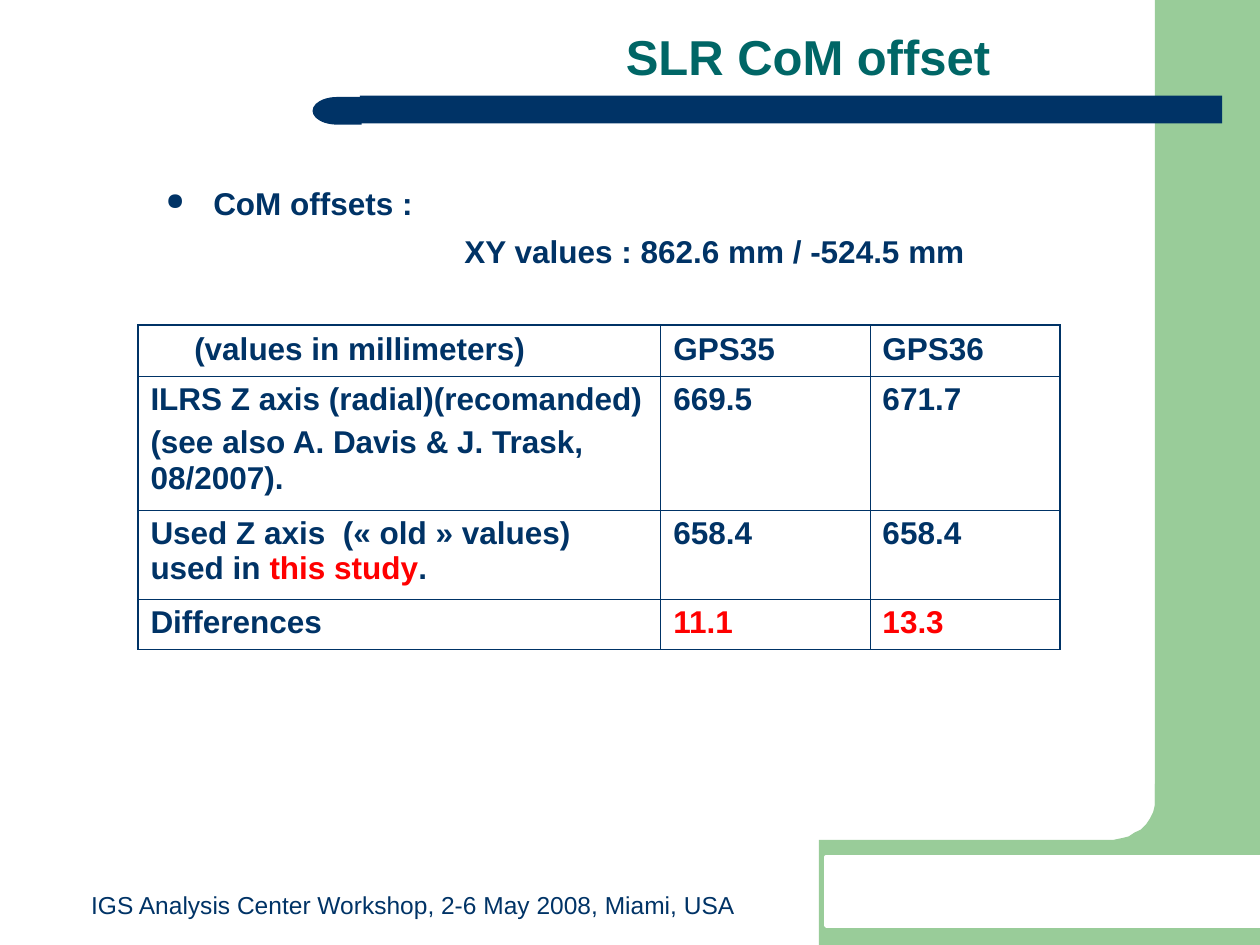
import math

import pptx
import pptx.dml.color
import pptx.enum.shapes
import pptx.enum.text
import pptx.oxml.ns
import pptx.util
from lxml import etree

Pt = pptx.util.Pt
RGBColor = pptx.dml.color.RGBColor
SHAPES = pptx.enum.shapes.MSO_SHAPE
ANCHOR = pptx.enum.text.MSO_ANCHOR
ALIGN = pptx.enum.text.PP_ALIGN

GREEN = RGBColor(0x99, 0xCC, 0x99)
NAVY = RGBColor(0x00, 0x33, 0x66)
TEAL = RGBColor(0x00, 0x66, 0x66)
RED = RGBColor(0xFF, 0x00, 0x00)
WHITE = RGBColor(0xFF, 0xFF, 0xFF)

BOLD_18 = {"name": "Arial", "size": Pt(18), "bold": True}
TITLE_FONT = {"name": "Arial", "size": Pt(28), "bold": True}
FOOTER_FONT = {"name": "Arial", "size": Pt(14), "bold": False}

OUTER_LINE, INNER_LINE = Pt(1.08), Pt(0.45)
COLUMN_WIDTHS = (298.8, 119.5, 108.7)
ROW_HEIGHTS = (29, 76.5, 51, 28.5)
# Each cell is a list of paragraphs, each paragraph a list of (text, colour).
OFFSET_ROWS = [
    [[[("(values in millimeters)", NAVY)]], [[("GPS35", NAVY)]], [[("GPS36", NAVY)]]],
    [[[("ILRS Z axis (radial)(recomanded)", NAVY)],
      [("(see also A. Davis & J. Trask, 08/2007).", NAVY)]],
     [[("669.5", NAVY)]], [[("671.7", NAVY)]]],
    [[[("Used Z axis  (« old » values) used in ", NAVY), ("this study", RED), (".", NAVY)]],
     [[("658.4", NAVY)]], [[("658.4", NAVY)]]],
    [[[("Differences", NAVY)]], [[("11.1", RED)]], [[("13.3", RED)]]],
]


def set_format(target, values):
    for name, value in values.items():
        setattr(target, name, value)


def add_child(parent, tag, **attributes):
    return etree.SubElement(parent, pptx.oxml.ns.qn(tag), attributes)


def paint(shape, color):
    shape.shadow.inherit = False
    shape.fill.solid()
    shape.fill.fore_color.rgb = color
    shape.line.fill.background()


def add_block(slide, kind, box, color):
    shape = slide.shapes.add_shape(kind, *map(Pt, box))
    paint(shape, color)
    return shape


def add_run(paragraph, text, color, font):
    run = paragraph.add_run()
    run.text = text
    set_format(run.font, font)
    run.font.color.rgb = color


def add_text_frame(slide, box, **values):
    frame = slide.shapes.add_textbox(*map(Pt, box)).text_frame
    set_format(frame, {"word_wrap": True, **values})
    return frame


def set_indent(paragraph, margin, first_line=0):
    properties = paragraph._p.get_or_add_pPr()
    properties.set("marL", str(Pt(margin)))
    properties.set("indent", str(Pt(first_line)))
    return properties


def add_side_frame(slide, box):
    """Green band on the right, its rounded inner corner and the white slot below."""
    left, top, width, height = box
    bottom = top + height
    add_block(slide, SHAPES.RECTANGLE, box, GREEN)

    foot_left, foot_top, radius = left - 192, bottom - 60.5, 23.5
    center_x, center_y = left - radius, foot_top - radius
    corner = [(center_x + radius * math.sin(math.radians(angle)),
               center_y + radius * math.cos(math.radians(angle)))
              for angle in range(0, 91, 10)]
    builder = slide.shapes.build_freeform(foot_left, bottom, scale=Pt(1))
    builder.add_line_segments(
        [(foot_left, foot_top), *corner, (left, foot_top - 32),
         (left + 24, foot_top - 32), (left + 24, bottom)], close=True)
    paint(builder.convert_to_shape(), GREEN)

    slot = add_block(slide, SHAPES.RECTANGLE,
                     (foot_left + 4, bottom - 50.4, left + width - foot_left - 4, 39.6), WHITE)
    slot.line.color.rgb = WHITE
    slot.line.width = Pt(2)


def add_title_bar(slide, box):
    left, top, width, height = box
    cap_width = 28
    bar = add_block(slide, SHAPES.ROUNDED_RECTANGLE,
                    (left + cap_width - 1, top, width - cap_width + 1, height), NAVY)
    bar.adjustments[0] = 0
    cap = add_block(slide, SHAPES.FLOWCHART_DELAY, (left, top + 0.7, cap_width, height), NAVY)
    cap.rotation = 180


def add_title(slide, box):
    frame = add_text_frame(slide, box, vertical_anchor=ANCHOR.BOTTOM)
    paragraph = frame.paragraphs[0]
    paragraph.line_spacing = 0.9
    add_run(paragraph, "SLR CoM offset", TEAL, TITLE_FONT)


def add_footer(slide, box):
    frame = add_text_frame(slide, box, vertical_anchor=ANCHOR.BOTTOM)
    paragraph = frame.paragraphs[0]
    paragraph.alignment = ALIGN.CENTER
    add_run(paragraph, "IGS Analysis Center Workshop, 2-6 May 2008, Miami, USA", NAVY, FOOTER_FONT)


def add_body(slide, box):
    frame = add_text_frame(slide, box, margin_top=Pt(4.5))
    heading = frame.paragraphs[0]
    properties = set_indent(heading, 27, -27)
    add_child(add_child(properties, "a:buClr"), "a:srgbClr", val=str(NAVY))
    add_child(properties, "a:buSzPct", val="75000")
    add_child(properties, "a:buChar", char="●")
    add_run(heading, "CoM offsets :", NAVY, BOLD_18)

    values = frame.add_paragraph()
    set_indent(values, 170.5)
    values.space_before = Pt(5.5)
    add_run(values, "XY values : 862.6 mm / -524.5 mm", NAVY, BOLD_18)


def add_borders(cell, outer_sides):
    properties = cell._tc.get_or_add_tcPr()
    for side in "LRTB":
        width = OUTER_LINE if side in outer_sides else INNER_LINE
        line = add_child(properties, f"a:ln{side}", w=str(width))
        add_child(add_child(line, "a:solidFill"), "a:srgbClr", val=str(NAVY))


def fill_cell(cell, paragraphs):
    for index, runs in enumerate(paragraphs):
        if index == 0:
            paragraph = cell.text_frame.paragraphs[0]
        else:
            paragraph = cell.text_frame.add_paragraph()
            paragraph.space_before = Pt(4.5)
        for text, color in runs:
            add_run(paragraph, text, color, BOLD_18)


def add_offset_table(slide, left, top):
    row_count, column_count = len(ROW_HEIGHTS), len(COLUMN_WIDTHS)
    table = slide.shapes.add_table(
        row_count, column_count, Pt(left), Pt(top),
        Pt(sum(COLUMN_WIDTHS)), Pt(sum(ROW_HEIGHTS))).table
    set_format(table, {"first_row": False, "horz_banding": False})
    for column, width in zip(table.columns, COLUMN_WIDTHS):
        column.width = Pt(width)
    for row, height in zip(table.rows, ROW_HEIGHTS):
        row.height = Pt(height)
    for row_index, row in enumerate(OFFSET_ROWS):
        for column_index, paragraphs in enumerate(row):
            cell = table.cell(row_index, column_index)
            edges = {"L": column_index == 0, "R": column_index == column_count - 1,
                     "T": row_index == 0, "B": row_index == row_count - 1}
            add_borders(cell, [side for side, is_outer in edges.items() if is_outer])
            cell.fill.background()
            fill_cell(cell, paragraphs)
    set_indent(table.cell(0, 0).text_frame.paragraphs[0], 25)


def main():
    presentation = pptx.Presentation()
    set_format(presentation, {"slide_width": Pt(720), "slide_height": Pt(540)})
    slide = presentation.slides.add_slide(presentation.slide_layouts[6])
    add_side_frame(slide, (660, 0, 60, 540))
    add_title_bar(slide, (178.6, 54.7, 519.8, 15.8))
    add_footer(slide, (-70.6, 508.3, 613.4, 20.9))
    add_title(slide, (350.6, 25.2, 381.6, 27.4))
    add_body(slide, (87.8, 100.8, 588.2, 375.8))
    add_offset_table(slide, 78.8, 185.8)
    presentation.save("out.pptx")


if __name__ == "__main__":
    main()
